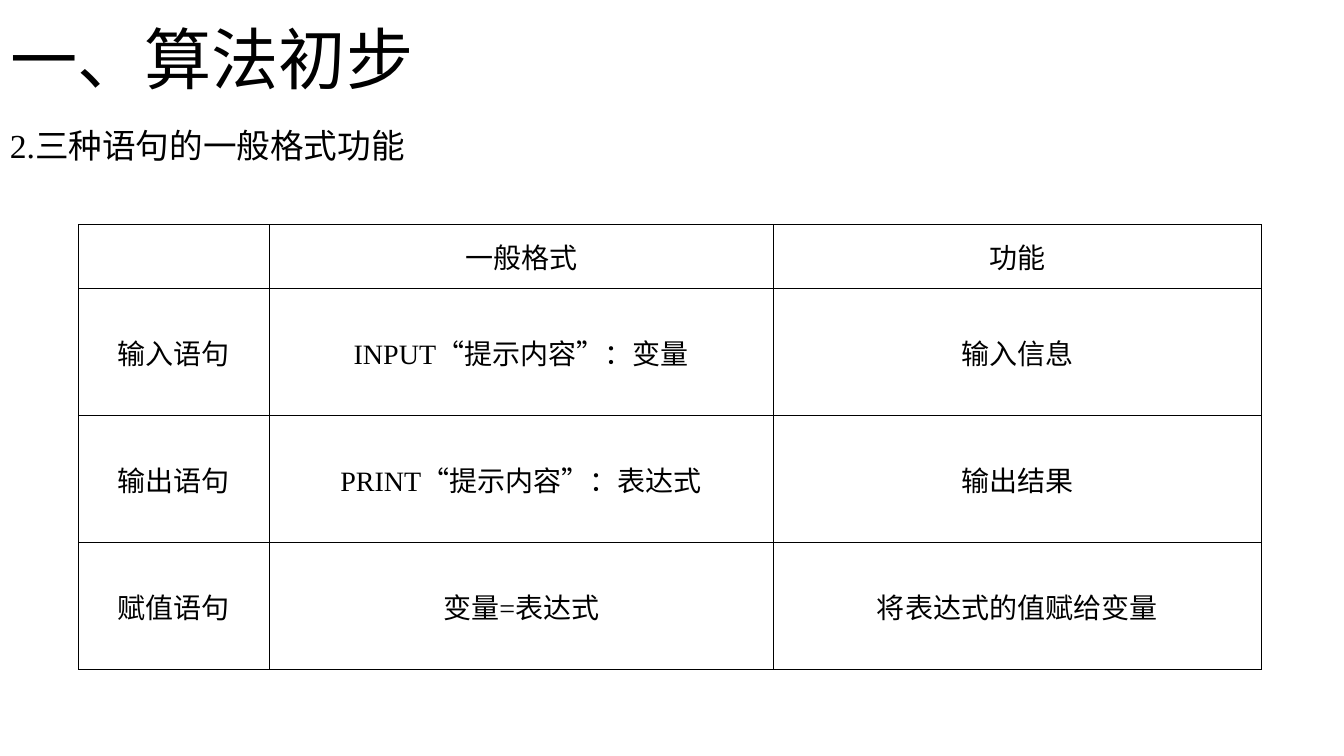
from dataclasses import dataclass

from lxml import etree
from pptx import Presentation
from pptx import util as u
from pptx.dml.color import RGBColor
from pptx.enum import text
from pptx.oxml import ns


@dataclass
class Theme:
    ink: RGBColor = RGBColor(0, 0, 0)
    paper: RGBColor = RGBColor(255, 255, 255)
    heading_font: str = "Calibri"
    body_font: str = "Times New Roman"
    heading_size: int = 48
    topic_size: int = 24
    table_size: int = 20
    border_width: int = 1


theme = Theme()


def style(paragraph, font_name, size):
    font = paragraph.font
    font.name = font_name
    font.size = u.Pt(size)
    font.bold = False
    font.color.rgb = theme.ink


def add_borders(cell):
    properties = cell._tc.get_or_add_tcPr()
    for side in ("a:lnL", "a:lnR", "a:lnT", "a:lnB"):
        line = etree.SubElement(properties, ns.qn(side), w=str(u.Pt(theme.border_width)))
        fill = etree.SubElement(line, ns.qn("a:solidFill"))
        etree.SubElement(fill, ns.qn("a:srgbClr"), val=str(theme.ink))


deck = Presentation()
deck.slide_width, deck.slide_height = u.Inches(13.33), u.Inches(7.5)
slide = deck.slides.add_slide(deck.slide_layouts[5])

heading = slide.shapes.title
heading.left, heading.top = 0, u.Inches(0.21)
heading.width, heading.height = u.Inches(12.07), u.Inches(0.82)
heading.text_frame.text = "一、算法初步"
heading.text_frame.vertical_anchor = text.MSO_ANCHOR.BOTTOM
heading.text_frame.auto_size = text.MSO_AUTO_SIZE.NONE
heading_line = heading.text_frame.paragraphs[0]
heading_line.alignment = text.PP_ALIGN.LEFT
heading_line.line_spacing = 0.9
style(heading_line, theme.heading_font, theme.heading_size)

topic = slide.shapes.add_textbox(0, u.Inches(1.24), u.Inches(4.16), u.Inches(0.46))
topic.text_frame.word_wrap = True
topic.text_frame.text = "2.三种语句的一般格式功能"
topic_line = topic.text_frame.paragraphs[0]
topic_line.line_spacing = 0.9
topic_line.space_before = u.Pt(10)
style(topic_line, theme.body_font, theme.topic_size)

statements = [
    ("", "一般格式", "功能"),
    ("输入语句", "INPUT“提示内容”：变量", "输入信息"),
    ("输出语句", "PRINT“提示内容”：表达式", "输出结果"),
    ("赋值语句", "变量=表达式", "将表达式的值赋给变量"),
]
column_widths = (1.89, 5, 4.84)
statement_height = 1.26
row_heights = [statement_height / 2] + [statement_height] * (len(statements) - 1)

grid = slide.shapes.add_table(
    len(statements), len(column_widths), u.Inches(0.78), u.Inches(2.23),
    u.Inches(sum(column_widths)), u.Inches(sum(row_heights)),
).table
grid.first_row = False
grid.horz_banding = False
for column, width in zip(grid.columns, column_widths):
    column.width = u.Inches(width)

for row, height, statement in zip(grid.rows, row_heights, statements):
    row.height = u.Inches(height)
    for cell, wording in zip(row.cells, statement):
        add_borders(cell)
        cell.fill.solid()
        cell.fill.fore_color.rgb = theme.paper
        cell.vertical_anchor = text.MSO_ANCHOR.MIDDLE
        cell.text = wording
        cell_line = cell.text_frame.paragraphs[0]
        cell_line.alignment = text.PP_ALIGN.CENTER
        style(cell_line, theme.body_font, theme.table_size)

deck.save("out.pptx")
